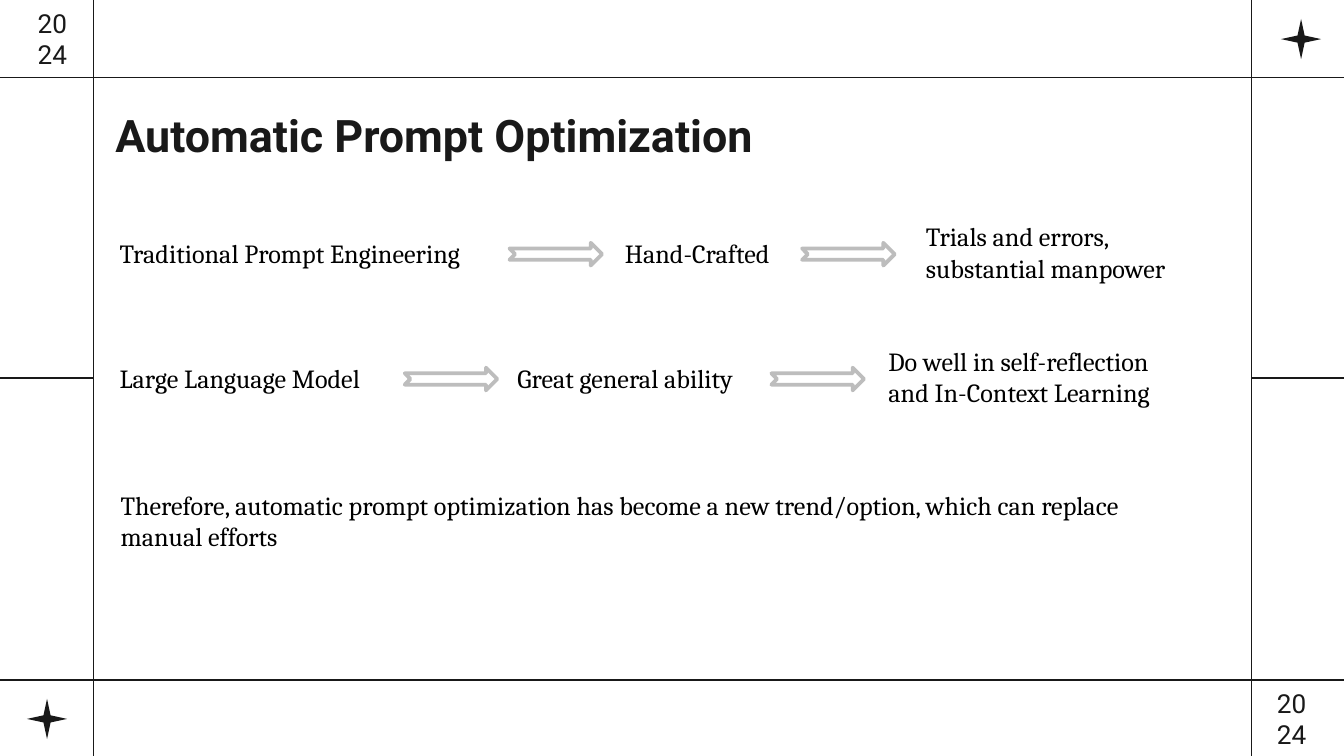
from lxml.etree import SubElement
from pptx import Presentation
from pptx.dml.color import RGBColor
from pptx.enum.shapes import MSO_CONNECTOR as Connector, MSO_SHAPE as Preset
from pptx.enum.text import MSO_ANCHOR as Anchor, MSO_AUTO_SIZE as AutoSize, PP_ALIGN as Align
from pptx.oxml.ns import qn
from pptx.util import Cm, Pt

COLORS = {"ink": "191919", "text": "000000", "paper": "FFFFFF", "arrow": "BDBDBD"}
WIDTH, HEIGHT = 25.4, 14.29

BODY = {"name": "Cambria", "size": Pt(14)}
YEAR = {"name": "Roboto", "size": Pt(14)}
TITLE = {"name": "Roboto", "size": Pt(24), "bold": True}


def color(name):
    return RGBColor.from_string(COLORS[name])


def add_text(slide, box, lines, font, ink="ink", align=Align.LEFT, fit=False):
    """Write one paragraph per line in a box of (left, top, width, height) cm."""
    frame = slide.shapes.add_textbox(*map(Cm, box)).text_frame
    inset = Cm(0.13 if fit else 0.25)
    settings = {
        "word_wrap": True,
        "auto_size": AutoSize.SHAPE_TO_FIT_TEXT if fit else AutoSize.NONE,
        "vertical_anchor": Anchor.TOP if fit else Anchor.MIDDLE,
        "margin_top": inset,
        "margin_bottom": inset,
    }
    for name, value in settings.items():
        setattr(frame, name, value)
    for index, line in enumerate(lines):
        paragraph = frame.add_paragraph() if index else frame.paragraphs[0]
        paragraph.alignment = align
        run = paragraph.add_run()
        run.text = line
        for name, value in font.items():
            setattr(run.font, name, value)
        run.font.color.rgb = color(ink)


def add_shape(slide, preset, box, fill):
    shape = slide.shapes.add_shape(preset, *map(Cm, box))
    shape.shadow.inherit = False
    shape.fill.solid()
    shape.fill.fore_color.rgb = color(fill)
    return shape


def add_rule(slide, x1, y1, x2, y2):
    rule = slide.shapes.add_connector(Connector.STRAIGHT, *map(Cm, (x1, y1, x2, y2)))
    rule.line.color.rgb = color("ink")
    rule.line.width = Pt(0.75)
    SubElement(rule._element.spPr, qn("a:effectLst"))


def add_frame(slide, left, top, width, height):
    """Rules, corner stars and corner years around the content area."""
    right, bottom = left + width, top + height
    for x in (left, right):
        add_rule(slide, x, 0, x, HEIGHT)
    for y in (top, bottom):
        add_rule(slide, 0, y, WIDTH, y)
    for start, end in ((0, left), (right, WIDTH)):
        add_rule(slide, start, HEIGHT / 2, end, HEIGHT / 2)

    # Stars at top right and bottom left
    for x, y in ((24.21, 0.36), (0.51, 13.21)):
        star = add_shape(slide, Preset.STAR_4_POINT, (x, y, 0.76, 0.76), "ink")
        star.adjustments[0] = 0.125
        star.line.fill.background()

    # Years at top left and bottom right
    for x, y in ((0, -0.02), (WIDTH - 1.98, 12.83)):
        add_text(slide, (x, y, 1.98, 1.5), ("20", "24"), YEAR, align=Align.CENTER)


def add_flow(slide, left, top, height, steps, arrows):
    """A row of (offset, width, height, text) steps joined by arrows."""
    middle = top + height / 2
    for offset, step_width, step_height, text in steps:
        box = (left + offset, middle - step_height / 2, step_width, step_height)
        add_text(slide, box, (text,), BODY, "text", fit=True)
    for offset in arrows:
        box = (left + offset, middle - 0.2, 1.75, 0.43)
        arrow = add_shape(slide, Preset.NOTCHED_RIGHT_ARROW, box, "paper")
        arrow.line.color.rgb = color("arrow")
        arrow.line.width = Pt(2)


def add_content(slide, left, top):
    """Title, two flows and the conclusion."""
    add_text(slide, (left - 0.08, top, 15.67, 1.5), ("Automatic Prompt Optimization",), TITLE)
    add_flow(slide, left, top + 2.24, 1.5, (
        (0, 7.8, 0.86, "Traditional Prompt Engineering"),
        (9.55, 3.81, 0.86, "Hand-Crafted"),
        (15.24, 5.49, 1.5, "Trials and errors, substantial manpower"),
    ), (7.62, 13.15))
    add_flow(slide, left, top + 4.6, 1.5, (
        (0, 5.54, 0.86, "Large Language Model"),
        (7.52, 5.13, 0.86, "Great general ability"),
        (14.53, 6.1, 1.5, "Do well in self-reflection and In-Context Learning"),
    ), (5.64, 12.57))
    conclusion = ("Therefore, automatic prompt optimization has become a new trend/option, "
                  "which can replace manual efforts")
    add_text(slide, (left + 0.02, top + 7.32, 20.32, 1.45), (conclusion,), BODY, "text", fit=True)


def main():
    presentation = Presentation()
    presentation.slide_width, presentation.slide_height = Cm(WIDTH), Cm(HEIGHT)
    slide = presentation.slides.add_slide(presentation.slide_layouts[6])
    slide.background.fill.solid()
    slide.background.fill.fore_color.rgb = color("paper")
    add_frame(slide, 1.77, 1.47, 21.88, 11.38)
    add_content(slide, 2.01, 1.8)
    presentation.save("out.pptx")


if __name__ == "__main__":
    main()
